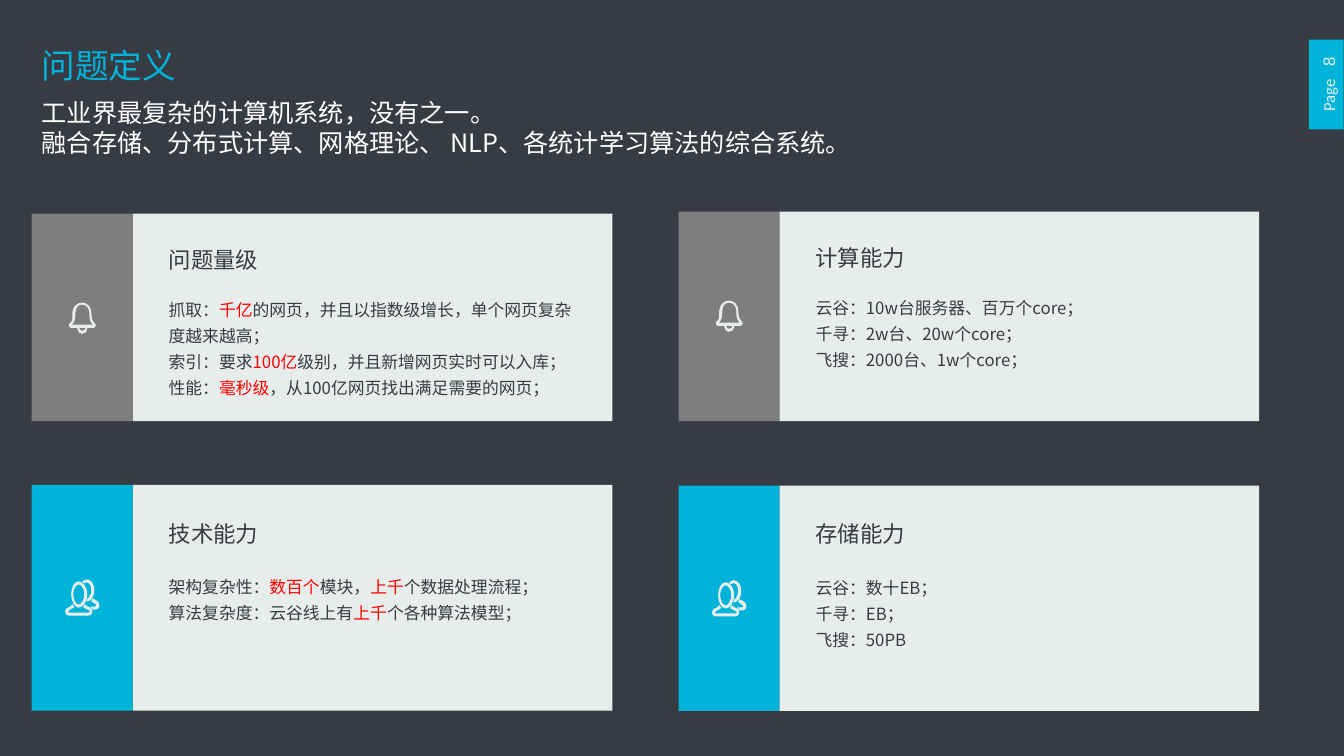
from dataclasses import dataclass

from lxml.etree import SubElement
from pptx import Presentation
from pptx.dml.color import RGBColor as RGB
from pptx.enum.shapes import MSO_SHAPE as Shape
from pptx.enum.text import MSO_ANCHOR as Anchor, PP_ALIGN as Align
from pptx.oxml.ns import qn
from pptx.util import Pt

DARK, PALE, CYAN, GRAY = "373B44", "E7EDEA", "00B4D9", "7E7E7E"
WHITE, RED = "FFFFFF", "FF0000"
CJK = "Noto Sans CJK SC"
LEAD = 1.19  # line height over font size
UNIT = 0.72  # points in one step of the icon grid
BAND, WIDE = 72, 342.7

# Icon outlines: "|" parts contours, ";" parts steps;
# a step of two numbers is a line, one of six a Bézier curve.
BELL = [
    "13 0; 18 0 22 4 22 10; 22 16 23 18 26 21; 27 22 26 24 25 24; 18 24; 18 25;"
    "18 28 16 30 13 30; 11 30 9 28 9 25; 9 24; 2 24; 1 24 0 22 1 21;"
    "3 19 4 18 4 16; 4 14 4 13 4 10; 4 4 9 0 13 0"
    "|13 1; 9 1 6 5 6 10; 6 15 6 18 2 22; 25 22; 21 18 21 15 21 10; 21 5 18 1 13 1"
    "|17 24; 10 24; 10 25; 10 27 12 28 13 28; 15 28 17 27 17 25",
]
USERS = [
    "13 27; 17 27 21 21 21 14; 21 8 17 2 13 2; 9 2 6 8 6 14; 6 21 9 27 13 27"
    "|13 4; 16 4 19 9 19 14; 19 20 16 25 13 25; 10 25 7 20 7 14; 7 9 10 4 13 4",
    "21 2; 24 2 26 6 26 10; 26 14 24 18 22 19; 22 19 22 20 21 21;"
    "25 21 28 16 28 10; 28 5 25 0 21 0; 20 0 18 1 17 2; 18 2 18 3 19 3;"
    "19 2 20 2 21 2",
    "29 20; 28 20 27 20 27 19; 26 20 26 20 26 21; 30 24 31 24 31 25;"
    "31 27 30 27 29 27; 25 27; 26 27 27 28 27 29; 29 29; 30 29 33 29 33 25;"
    "33 23 32 22 29 20",
    "22 27; 21 26 20 26 19 25; 19 26 19 26 18 27; 23 30 25 30 25 31;"
    "25 33 23 33 22 33; 4 33; 3 33 2 33 2 31; 2 30 3 30 8 27; 8 26 8 26 7 25;"
    "6 26 5 26 5 27; 2 28 0 29 0 31; 0 35 3 35 4 35; 22 35; 23 35 26 35 26 31;"
    "26 29 25 28 22 27",
]


@dataclass
class Kind:
    """Look of a card; icon, head and body hold offsets from its corner."""
    color: str
    paths: list[str]
    icon: tuple[float, float]
    head: float
    body: float


@dataclass
class Card:
    kind: Kind
    left: float
    top: float
    high: float
    head: str
    body: list[str]


SCALE = Kind(GRAY, BELL, (26.4, 63.9), 19.8, 54)
SKILL = Kind(CYAN, USERS, (24.2, 67.9), 21.6, 57.8)

CARDS = [
    Card(SCALE, 22.7, 152.6, 148.3, "问题量级", [
        "抓取：*千亿*的网页，并且以指数级增长，单个网页复杂度越来越高；",
        "索引：要求*100亿*级别，并且新增网页实时可以入库；",
        "性能：*毫秒级*，从100亿网页找出满足需要的网页；"]),
    Card(SCALE, 484.8, 151.2, 149.6, "计算能力", [
        "云谷：10w台服务器、百万个core；",
        "千寻：2w台、20w个core；",
        "飞搜：2000台、1w个core；"]),
    Card(SKILL, 22.7, 346.3, 161.4, "技术能力", [
        "架构复杂性：*数百个*模块，*上千*个数据处理流程；",
        "算法复杂度：云谷线上有*上千*个各种算法模型；"]),
    Card(SKILL, 484.8, 346.9, 160.8, "存储能力", [
        "云谷：数十EB；", "千寻：EB；", "飞搜：50PB"]),
]


def paint(fill, color: str) -> None:
    fill.solid()
    fill.fore_color.rgb = RGB.from_string(color)


def rect(shapes, x: float, y: float, w: float, h: float, color: str) -> None:
    box = shapes.add_shape(Shape.RECTANGLE, Pt(x), Pt(y), Pt(w), Pt(h))
    box.shadow.inherit = False
    paint(box.fill, color)
    box.line.fill.background()


def text(shapes, x: float, y: float, w: float, h: float, lines: list[str],
         size: float, color: str, lead: float = LEAD, wrap: bool = False) -> None:
    """Add a text box; words between asterisks turn red."""
    frame = shapes.add_textbox(Pt(x), Pt(y), Pt(w), Pt(h)).text_frame
    frame.word_wrap = wrap
    for i, line in enumerate(lines):
        para = frame.paragraphs[0] if i == 0 else frame.add_paragraph()
        para.line_spacing = Pt(round(size * lead, 1))
        font = para.font
        font.size, font.name = Pt(size), CJK
        paint(font.fill, color)
        SubElement(font._element, qn("a:ea"), typeface=CJK)
        for j, part in enumerate(line.split("*")):
            run = para.add_run()
            run.text = part
            if j % 2:
                paint(run.font.fill, RED)


def steps(part: str) -> list[list[tuple[int, int]]]:
    """Read a contour as steps, each a list of points that ends on the outline."""
    rows = [[int(n) for n in step.split()] for step in part.split(";")]
    return [list(zip(row[::2], row[1::2])) for row in rows]


def bend(form, moves: list[list[tuple[int, int]]]) -> None:
    """Turn the straight legs of a freeform into the curves of its steps."""
    low_x, low_y = (min(move[-1][k] for move in moves) for k in (0, 1))
    legs = [leg for leg in form._element.iter(qn("a:moveTo"), qn("a:lnTo"))]
    for leg, move in zip(legs, moves):
        if len(move) == 3:
            leg.tag = qn("a:cubicBezTo")
            for k, (a, b) in enumerate(move[:2]):
                dot = SubElement(leg, qn("a:pt"), x=str(a - low_x), y=str(b - low_y))
                leg.insert(k, dot)


def icon(shapes, x: float, y: float, paths: list[str]) -> None:
    for path in paths:
        parts = [steps(part) for part in path.split("|")]
        pen = shapes.build_freeform(*parts[0][0][-1], scale=Pt(UNIT * 100) / 100)
        for i, part in enumerate(parts):
            ends = [move[-1] for move in part]
            if i:
                pen.move_to(*ends[0])
            pen.add_line_segments(ends[1:], close=True)
        form = pen.convert_to_shape(Pt(x), Pt(y))
        # Closing repeats no leg when a contour already ends at its start.
        bend(form, [move for part in parts for move in closed(part)])
        form.shadow.inherit = False
        paint(form.fill, PALE)
        paint(form.line.fill, PALE)
        form.line.width = Pt(0.75)


def closed(part: list[list[tuple[int, int]]]) -> list[list[tuple[int, int]]]:
    return part


def draw(shapes, card: Card) -> None:
    kind, x, y = card.kind, card.left, card.top
    rect(shapes, x + BAND, y, WIDE, card.high, PALE)
    rect(shapes, x, y, BAND, card.high, kind.color)
    icon(shapes, x + kind.icon[0], y + kind.icon[1], kind.paths)
    text(shapes, x + 90.7, y + kind.head, 79, 32, [card.head], 16, DARK)
    text(shapes, x + 90.7, y + kind.body, 304.6, 80, card.body, 12, DARK,
         lead=1.3 * LEAD, wrap=True)


def tab(shapes) -> None:
    """Add the page mark at the right edge."""
    rect(shapes, 935, 28.3, 24.7, 64.2, CYAN)
    box = shapes.add_textbox(Pt(922.3), Pt(49.7), Pt(53.3), Pt(21.6))
    box.rotation = 270
    frame = box.text_frame
    frame.word_wrap = False
    frame.vertical_anchor = Anchor.TOP
    para = frame.paragraphs[0]
    para.alignment = Align.CENTER
    paint(para.font.fill, PALE)
    for word, size, face in (("Page", 12, "Calibri"), (" ", 11, "Arial"), ("8", 12, "Arial")):
        run = para.add_run()
        run.text = word
        run.font.size, run.font.name = Pt(size), face
        if word == " ":
            run.font._element.set("spc", "600")


def main() -> None:
    deck = Presentation()
    deck.slide_width, deck.slide_height = Pt(960), Pt(540)
    slide = deck.slides.add_slide(deck.slide_layouts[6])
    paint(slide.background.fill, DARK)
    shapes = slide.shapes
    tab(shapes)
    text(shapes, 22.7, 28.4, 111.6, 36, ["问题定义"], 24, CYAN)
    text(shapes, 22.7, 66, 604, 51, [
        "工业界最复杂的计算机系统，没有之一。",
        "融合存储、分布式计算、网格理论、 NLP、各统计学习算法的综合系统。"], 18, WHITE)
    for card in CARDS:
        draw(shapes, card)
    deck.save("out.pptx")


if __name__ == "__main__":
    main()
